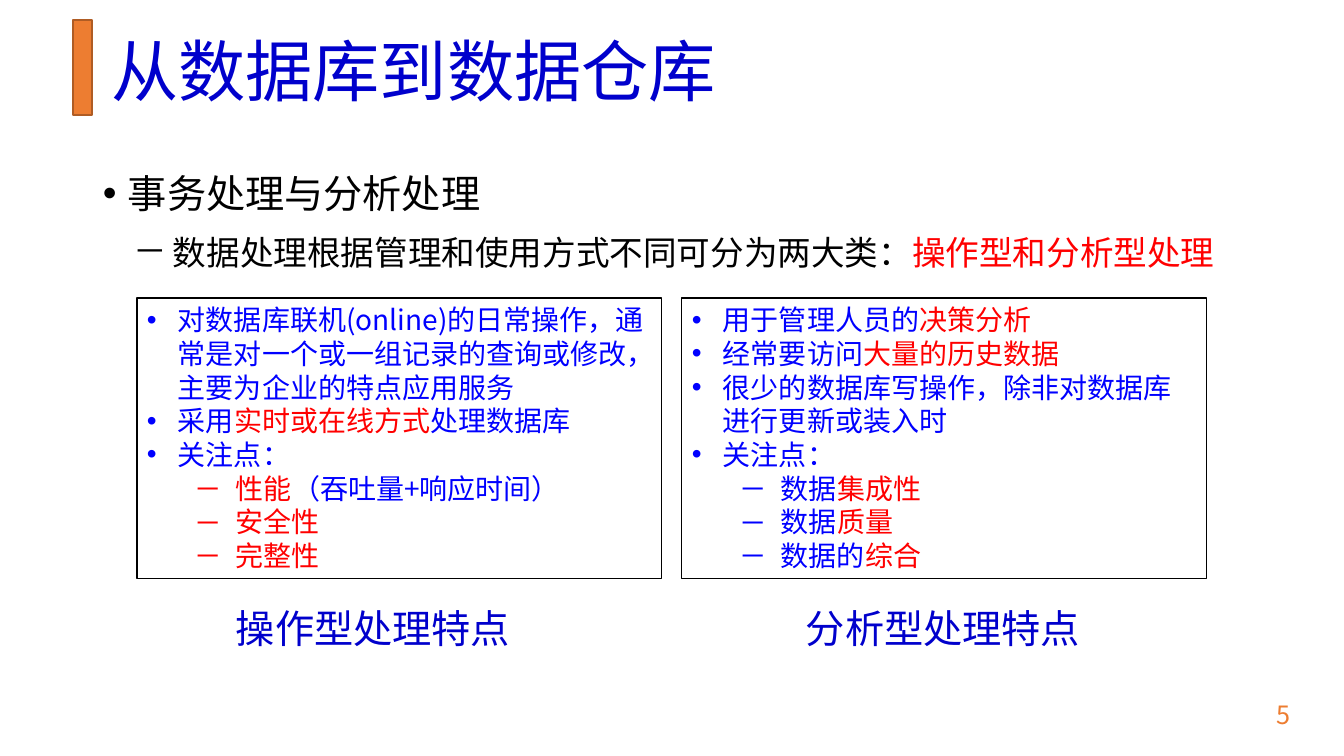
from dataclasses import dataclass

from lxml.etree import SubElement
from pptx import Presentation
from pptx.dml.color import RGBColor
from pptx.enum.shapes import MSO_SHAPE
from pptx.enum.text import MSO_ANCHOR, MSO_AUTO_SIZE, PP_ALIGN
from pptx.oxml.ns import qn
from pptx.util import Pt


@dataclass(frozen=True)
class Theme:
    font: str = "Noto Sans CJK SC"
    caption_font: str = "Arial"
    heading: str = "0000CC"
    panel_text: str = "0000FF"
    accent: str = "FF0000"
    body: str = "000000"
    orange: str = "ED7D31"
    orange_edge: str = "AF5C24"
    title_size: int = 48
    topic_size: int = 28
    detail_size: int = 24
    panel_size: int = 20
    number_size: int = 18


THEME = Theme()


@dataclass(frozen=True)
class Bullet:
    mark: str
    margin: int
    hang: int
    level: int = 0


TOPIC = Bullet("•", 25, 25)
DETAIL = Bullet("－", 70, 39, 1)
POINT = Bullet("•", 31, 31)
SUBPOINT = Bullet("─", 89, 38, 1)

# Each line is a bullet and its spans; a span starting with * is accented
OPERATIONAL = [
    (POINT, ["对数据库联机(online)的日常操作，通常是对一个或一组记录的查询或修改，主要为企业的特点应用服务"]),
    (POINT, ["采用", "*实时或在线方式", "处理数据库"]),
    (POINT, ["关注点："]),
    (SUBPOINT, ["*性能", "（吞吐量+响应时间）"]),
    (SUBPOINT, ["*安全性"]),
    (SUBPOINT, ["*完整性"]),
]
ANALYTICAL = [
    (POINT, ["用于管理人员的", "*决策分析"]),
    (POINT, ["经常要访问", "*大量的历史数据"]),
    (POINT, ["很少的数据库写操作，除非对数据库进行更新或装入时"]),
    (POINT, ["关注点："]),
    (SUBPOINT, ["数据", "*集成性"]),
    (SUBPOINT, ["数据", "*质量"]),
    (SUBPOINT, ["数据的", "*综合"]),
]


def px(length):
    return round(length * 914400 / 100.8)


def color(value):
    return RGBColor.from_string(value)


def place(shape, box):
    shape.left, shape.top, shape.width, shape.height = map(px, box)


def set_bullet(para, bullet):
    para.level = bullet.level
    props = para._p.get_or_add_pPr()
    props.set("marL", str(px(bullet.margin)))
    props.set("indent", str(-px(bullet.hang)))
    SubElement(props, qn("a:buFont")).set("typeface", THEME.caption_font)
    SubElement(props, qn("a:buChar")).set("char", bullet.mark)


def write(para, spans, size, base, bullet=None, font=THEME.font):
    if bullet:
        set_bullet(para, bullet)
    para.font.size = Pt(size)
    para.font.name = font
    para.font.color.rgb = color(base)
    defaults = para._p.pPr.find(qn("a:defRPr"))
    SubElement(defaults, qn("a:ea")).set("typeface", THEME.font)
    for text in spans:
        span = para.add_run()
        span.text = text.removeprefix("*")
        if text.startswith("*"):
            span.font.color.rgb = color(THEME.accent)


def next_para(frame):
    first = frame.paragraphs[0]
    return frame.add_paragraph() if first.runs else first


def add_text_box(page, box, wrap=True):
    frame = page.shapes.add_textbox(*map(px, box)).text_frame
    frame.word_wrap = wrap
    return frame


def add_rectangle(page, box, edge, width, fill=None):
    shape = page.shapes.add_shape(MSO_SHAPE.RECTANGLE, *map(px, box))
    shape.shadow.inherit = False
    if fill:
        shape.fill.solid()
        shape.fill.fore_color.rgb = color(fill)
    else:
        shape.fill.background()
    shape.line.color.rgb = color(edge)
    shape.line.width = Pt(width)
    return shape


def add_header(page, box, text):
    left, top, width, height = box
    # Accent bar
    add_rectangle(page, (left, top, 19, 95), THEME.orange_edge, 1, THEME.orange)
    # Title
    title = page.shapes.title
    place(title, (left + 28, top + 1, width - 28, height))
    frame = title.text_frame
    frame.auto_size = MSO_AUTO_SIZE.NONE
    frame.vertical_anchor = MSO_ANCHOR.MIDDLE
    para = frame.paragraphs[0]
    para.alignment = PP_ALIGN.LEFT
    para.line_spacing = 0.9
    write(para, [text], THEME.title_size, THEME.heading)


def add_intro(page, box):
    frame = add_text_box(page, box)
    lines = [
        (TOPIC, THEME.topic_size, 10, ["事务处理与分析处理"]),
        (DETAIL, THEME.detail_size, 5,
         ["数据处理根据管理和使用方式不同可分为两大类：", "*操作型和分析型处理"]),
    ]
    for bullet, size, gap, spans in lines:
        para = next_para(frame)
        write(para, spans, size, THEME.body, bullet)
        para.line_spacing = 1.2
        para.space_before = Pt(gap)


def add_panel(page, box, lines, caption, caption_shift):
    left, top, width, height = box
    # Framed list
    frame = add_rectangle(page, box, THEME.body, 0.75).text_frame
    frame.word_wrap = True
    frame.vertical_anchor = MSO_ANCHOR.TOP
    for bullet, spans in lines:
        para = next_para(frame)
        para.alignment = PP_ALIGN.LEFT
        write(para, spans, THEME.panel_size, THEME.panel_text, bullet)
    # Caption below the frame
    caption_box = (left + caption_shift, top + height + 20, 297, 57)
    frame = add_text_box(page, caption_box, wrap=False)
    write(frame.paragraphs[0], [caption], THEME.topic_size, THEME.heading,
          font=THEME.caption_font)


def add_page_number(page, box, number):
    frame = add_text_box(page, box)
    frame.vertical_anchor = MSO_ANCHOR.MIDDLE
    para = frame.paragraphs[0]
    para.alignment = PP_ALIGN.RIGHT
    write(para, [number], THEME.number_size, THEME.orange)


def main():
    deck = Presentation()
    deck.slide_width, deck.slide_height = px(1344), px(756)
    page = deck.slides.add_slide(deck.slide_layouts[5])
    add_header(page, (73, 20, 1178, 108), "从数据库到数据仓库")
    add_intro(page, (93, 155, 1159, 130))
    panels = [(OPERATIONAL, "操作型处理特点", 89), (ANALYTICAL, "分析型处理特点", 114)]
    for column, (lines, caption, shift) in enumerate(panels):
        add_panel(page, (137 + column * 545, 298, 525, 281), lines, caption, shift)
    add_page_number(page, (998, 694, 302, 40), "5")
    deck.save("out.pptx")


if __name__ == "__main__":
    main()
